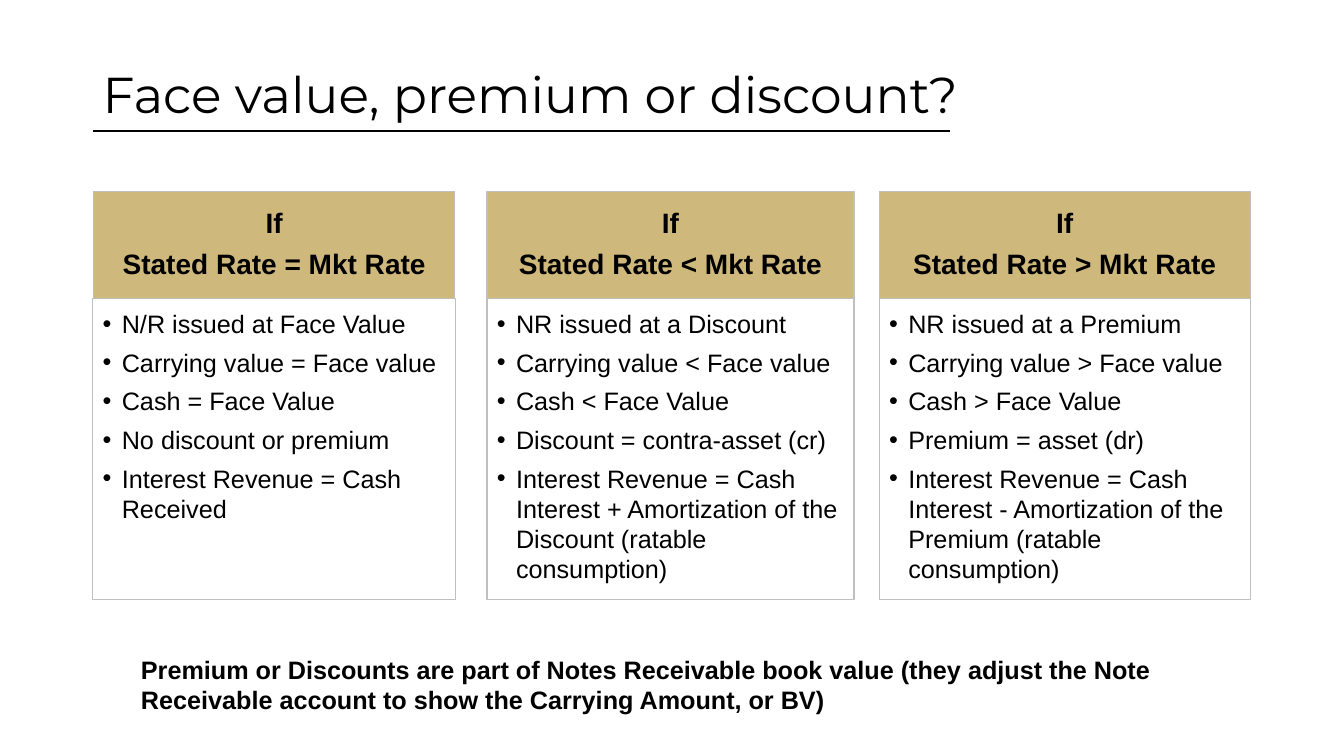
from dataclasses import dataclass

from lxml.etree import SubElement
from pptx import Presentation
from pptx.dml.color import RGBColor
from pptx.enum.shapes import MSO_CONNECTOR, MSO_SHAPE
from pptx.enum.text import MSO_ANCHOR, PP_ALIGN
from pptx.oxml.ns import qn
from pptx.util import Emu, Inches, Pt

COLORS = {"text": "000000", "gold": "CFB87C", "border": "BFBFBF", "panel": "FFFFFF"}
SLIDE_W, SLIDE_H = Inches(13.33), Inches(7.5)

# Shares of the slide's size, in percent
LEFT = 6.9
HEAD_TOP, HEAD_H = 25.33, 14.13
BODY_TOP, BODY_H = HEAD_TOP + HEAD_H, 39.87


@dataclass
class Box:
    """A rectangle given in percent of the slide's width and height."""
    left: float
    top: float
    width: float
    height: float

    def emu(self) -> tuple:
        return (across(self.left), down(self.top), across(self.width), down(self.height))


@dataclass
class RateCase:
    left: float
    width: float
    condition: str
    effects: list
    head_inset: float = 0


CASES = [
    RateCase(LEFT, 27.01, "Stated Rate = Mkt Rate", [
        "N/R issued at Face Value",
        "Carrying value = Face value",
        "Cash = Face Value",
        "No discount or premium",
        "Interest Revenue = Cash Received",
    ], head_inset=0.08),
    RateCase(36.23, 27.31, "Stated Rate < Mkt Rate", [
        "NR issued at a Discount",
        "Carrying value < Face value",
        "Cash < Face Value",
        "Discount = contra-asset (cr)",
        "Interest Revenue = Cash Interest + Amortization of the Discount (ratable consumption)",
    ]),
    RateCase(65.42, 27.61, "Stated Rate > Mkt Rate", [
        "NR issued at a Premium",
        "Carrying value > Face value",
        "Cash > Face Value",
        "Premium = asset (dr)",
        "Interest Revenue = Cash Interest - Amortization of the Premium (ratable consumption)",
    ]),
]


def across(share: float) -> Emu:
    return Emu(round(SLIDE_W * share / 100))


def down(share: float) -> Emu:
    return Emu(round(SLIDE_H * share / 100))


def color(name: str) -> RGBColor:
    return RGBColor.from_string(COLORS[name])


def add_run(p, text: str, size: float, bold: bool = False, font: str = "Arial") -> None:
    r = p.add_run()
    r.text = text
    r.font.name, r.font.size, r.font.bold = font, Pt(size), bold
    r.font.color.rgb = color("text")


def add_bullet(p) -> None:
    pPr = p._p.get_or_add_pPr()
    pPr.set("marL", str(Inches(0.19)))
    pPr.set("indent", str(-Inches(0.19)))
    SubElement(pPr, qn("a:buFont"), typeface="Arial")
    SubElement(pPr, qn("a:buChar"), char="•")


def add_paragraphs(tf, count: int) -> list:
    return [tf.paragraphs[0]] + [tf.add_paragraph() for _ in range(count - 1)]


def add_panel(slide, box: Box, fill: str, insets: tuple, anchor: MSO_ANCHOR):
    sp = slide.shapes.add_shape(MSO_SHAPE.RECTANGLE, *box.emu())
    sp.shadow.inherit = False
    sp.fill.solid()
    sp.fill.fore_color.rgb = color(fill)
    sp.line.color.rgb = color("border")
    sp.line.width = Pt(1)
    tf = sp.text_frame
    tf.word_wrap, tf.vertical_anchor = True, anchor
    tf.margin_left, tf.margin_top, tf.margin_right, tf.margin_bottom = map(Inches, insets)
    return sp


def add_case(slide, case: RateCase) -> None:
    head_box = Box(case.left + case.head_inset, HEAD_TOP,
                   case.width - 2 * case.head_inset, HEAD_H)
    head = add_panel(slide, head_box, "gold", (0.19, 0.11, 0.19, 0.11), MSO_ANCHOR.MIDDLE)
    lines = ["If", case.condition]
    for p, line in zip(add_paragraphs(head.text_frame, len(lines)), lines):
        p.alignment, p.line_spacing, p.space_after = PP_ALIGN.CENTER, 0.9, Pt(8)
        add_run(p, line, 20, bold=True)

    body_box = Box(case.left, BODY_TOP, case.width, BODY_H)
    body = add_panel(slide, body_box, "panel", (0.1, 0.1, 0.14, 0.16), MSO_ANCHOR.TOP)
    fill_color = body._element.spPr.find(qn("a:solidFill")).find(qn("a:srgbClr"))
    SubElement(fill_color, qn("a:alpha"), val="90000")
    for p, effect in zip(add_paragraphs(body.text_frame, len(case.effects)), case.effects):
        add_bullet(p)
        p.alignment, p.space_after = PP_ALIGN.LEFT, Pt(6)
        add_run(p, effect, 18)


def add_text(slide, box: Box, anchor: MSO_ANCHOR):
    """Add a wrapping text box and return its first paragraph."""
    tf = slide.shapes.add_textbox(*box.emu()).text_frame
    tf.word_wrap, tf.vertical_anchor = True, anchor
    return tf.paragraphs[0]


def add_title(slide) -> None:
    rule_y = down(17.33)
    rule = slide.shapes.add_connector(MSO_CONNECTOR.STRAIGHT, across(LEFT), rule_y,
                                      across(70.67), rule_y)
    rule.line.color.rgb = color("text")
    rule.line.width = Pt(1)
    SubElement(rule._element.spPr, qn("a:effectLst"))
    p = add_text(slide, Box(LEFT, 4.53, 72.99, 16.67), MSO_ANCHOR.MIDDLE)
    p.line_spacing = 0.9
    add_run(p, "Face value, premium or discount?", 36, font="Montserrat")


def main() -> None:
    prs = Presentation()
    prs.slide_width, prs.slide_height = SLIDE_W, SLIDE_H
    slide = prs.slides.add_slide(prs.slide_layouts[6])
    add_title(slide)
    for case in CASES:
        add_case(slide, case)
    note = add_text(slide, Box(9.75, 85.87, 83.5, 9.47), MSO_ANCHOR.TOP)
    add_run(note, "Premium or Discounts are part of Notes Receivable book value "
                  "(they adjust the Note Receivable account to show the Carrying "
                  "Amount, or BV)", 18, bold=True)
    prs.save("out.pptx")


if __name__ == "__main__":
    main()
